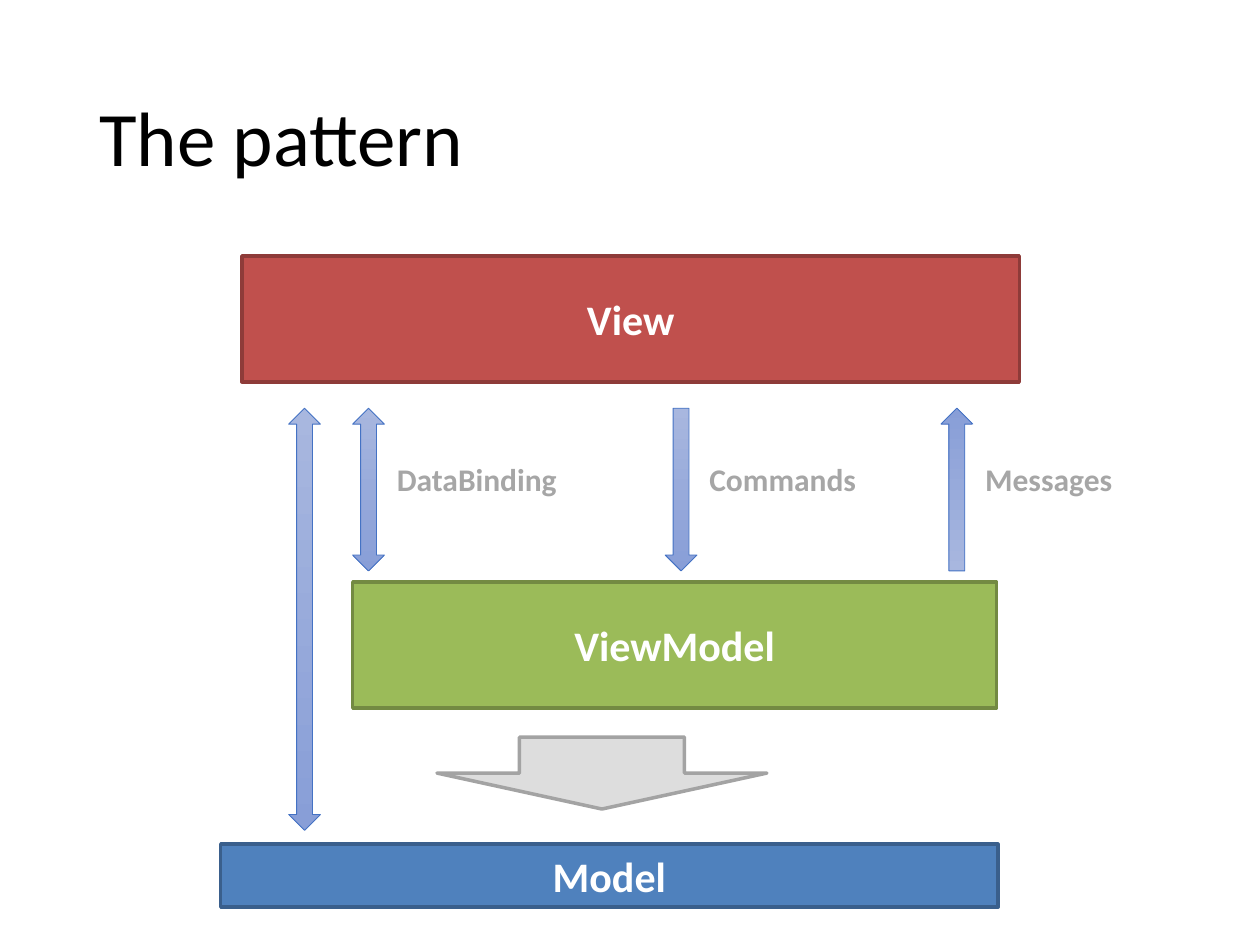
from dataclasses import dataclass

from pptx import Presentation
from pptx.dml.color import RGBColor
from pptx.enum.shapes import MSO_SHAPE
from pptx.enum.text import MSO_ANCHOR, MSO_AUTO_SIZE, PP_ALIGN
from pptx.util import Cm, Pt

RECT = MSO_SHAPE.RECTANGLE
DOWN = MSO_SHAPE.DOWN_ARROW
BOTH = MSO_SHAPE.UP_DOWN_ARROW
MIDDLE = MSO_ANCHOR.MIDDLE
LEFT, CENTER = PP_ALIGN.LEFT, PP_ALIGN.CENTER
FIT = MSO_AUTO_SIZE.SHAPE_TO_FIT_TEXT
NO_FIT = MSO_AUTO_SIZE.NONE


@dataclass(frozen=True)
class Theme:
    font: str = "Calibri"
    title: int = 44
    head: int = 24
    label: int = 18
    black: str = "000000"
    white: str = "FFFFFF"
    gray: str = "A6A6A6"
    red: tuple = ("C0504D", "8E3B39")
    green: tuple = ("9BBB59", "738A42")
    blue: tuple = ("4F81BD", "3A5F8C")
    silver: tuple = ("DDDDDD", "A3A3A3")
    fade: tuple = ("A8B7DF", "889ED7")
    edge: str = "4472C4"


THEME = Theme()
ARROW_W = 0.64
ARROW_TOP = 8.23


def rgb(code):
    return RGBColor.from_string(code)


def style(par, size, color, bold=False):
    font = par.font
    font.name, font.size, font.bold = THEME.font, Pt(size), bold
    font.color.rgb = rgb(color)


def add_title(slide, text):
    title = slide.shapes.title
    title.left, title.top = Cm(1.75), Cm(1.02)
    title.width, title.height = Cm(21.9), Cm(3.68)
    frame = title.text_frame
    frame.text = text
    frame.vertical_anchor = MIDDLE
    frame.auto_size = NO_FIT
    par = frame.paragraphs[0]
    par.alignment, par.line_spacing = LEFT, 0.9
    style(par, THEME.title, THEME.black)


def add_shape(slide, kind, box, edge, weight):
    shape = slide.shapes.add_shape(kind, *map(Cm, box))
    shape.shadow.inherit = False
    shape.line.color.rgb = rgb(edge)
    shape.line.width = Pt(weight)
    return shape


def add_block(slide, kind, box, colors, text=""):
    fill, edge = colors
    shape = add_shape(slide, kind, box, edge, 2)
    shape.fill.solid()
    shape.fill.fore_color.rgb = rgb(fill)
    if text:
        frame = shape.text_frame
        frame.text = text
        frame.vertical_anchor = MIDDLE
        par = frame.paragraphs[0]
        par.alignment = CENTER
        style(par, THEME.head, THEME.white, True)


def add_arrow(slide, kind, left, height, flip=False):
    """Draw a thin arrow that fades from top to bottom."""
    box = (left, ARROW_TOP, ARROW_W, height)
    shape = add_shape(slide, kind, box, THEME.edge, 0.5)
    shape.fill.gradient()
    shape.fill.gradient_angle = 270
    for stop, color, place in zip(shape.fill.gradient_stops, THEME.fade, (0, 1)):
        stop.color.rgb = rgb(color)
        stop.position = place
    if flip:
        shape._element.spPr.get_or_add_xfrm().set("flipV", "1")


def add_label(slide, left, width, text):
    box = slide.shapes.add_textbox(Cm(left), Cm(9.14), Cm(width), Cm(1.02))
    frame = box.text_frame
    frame.text = text
    frame.word_wrap = False
    frame.auto_size = FIT
    style(frame.paragraphs[0], THEME.label, THEME.gray, True)


def main():
    deck = Presentation()
    deck.slide_width, deck.slide_height = Cm(25.4), Cm(19.05)
    slide = deck.slides.add_slide(deck.slide_layouts[5])
    add_title(slide, "The pattern")

    add_block(slide, RECT, (4.88, 5.16, 15.67, 2.54), THEME.red, "View")
    add_block(slide, RECT, (7.11, 11.73, 12.98, 2.54), THEME.green, "ViewModel")

    links = [
        (BOTH, 7.11, 4.29, "DataBinding", False),
        (DOWN, 13.41, 4.01, "Commands", False),
        (DOWN, 18.97, 3.58, "Messages", True),
    ]
    for kind, left, width, text, flip in links:
        add_arrow(slide, kind, left, 3.28, flip)
        add_label(slide, left + ARROW_W, width, text)

    add_block(slide, DOWN, (8.81, 14.86, 6.65, 1.45), THEME.silver)
    add_block(slide, RECT, (4.45, 17.02, 15.67, 1.27), THEME.blue, "Model")
    add_arrow(slide, BOTH, 5.82, 8.51)
    deck.save("out.pptx")


if __name__ == "__main__":
    main()
